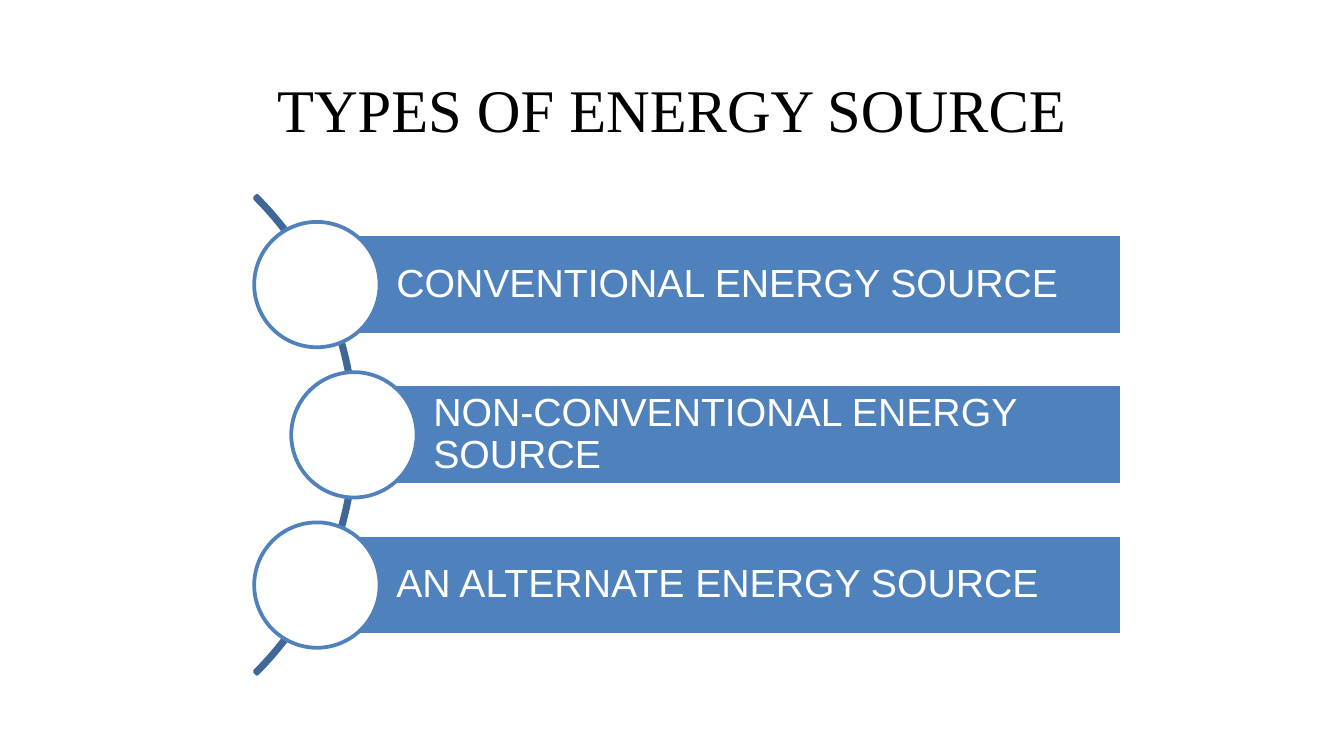
import pptx
import pptx.util
import pptx.dml.color
import pptx.enum.shapes
import pptx.enum.text

Cm = pptx.util.Cm
Pt = pptx.util.Pt
SHAPES = pptx.enum.shapes.MSO_SHAPE
ALIGN = pptx.enum.text.PP_ALIGN
MIDDLE = pptx.enum.text.MSO_ANCHOR.MIDDLE

TITLE = "TYPES OF ENERGY SOURCE"
# Label and horizontal centre of its circle, in cm
SOURCES = [
    ("CONVENTIONAL ENERGY SOURCE", 5.99),
    ("NON-CONVENTIONAL ENERGY SOURCE", 6.69),
    ("AN ALTERNATE ENERGY SOURCE", 5.99),
]
COLORS = {"bar": "4F81BD", "arc": "3F6797", "white": "FFFFFF", "title": "000000"}

# Lengths in cm
MIDDLE_Y = 8.22
ROW_PITCH = 2.84
BAR_RIGHT = 21.21
BAR_HEIGHT = 1.9
CIRCLE_SIZE = 2.37
ARC_CENTER_X = 0.34
ARC_SIZE = 12.78


def rgb(name):
    return pptx.dml.color.RGBColor.from_string(COLORS[name])


def add_shape(slide, kind, center_y, left, width, height, fill, line):
    """Add a preset shape centred vertically on center_y; fill may be None."""
    shape = slide.shapes.add_shape(
        kind, Cm(left), Cm(center_y - height / 2), Cm(width), Cm(height)
    )
    shape.shadow.inherit = False
    if fill:
        shape.fill.solid()
        shape.fill.fore_color.rgb = rgb(fill)
    else:
        shape.fill.background()
    shape.line.color.rgb = rgb(line)
    shape.line.width = Pt(2)
    return shape


def write_label(bar, text):
    frame = bar.text_frame
    frame.word_wrap = True
    frame.vertical_anchor = MIDDLE
    frame.margin_left = Cm(1.5)
    frame.margin_right = frame.margin_top = frame.margin_bottom = Cm(0.15)
    paragraph = frame.paragraphs[0]
    paragraph.text = text
    paragraph.alignment = ALIGN.LEFT
    paragraph.line_spacing = 0.9
    paragraph.font.name = "Arial"
    paragraph.font.size = Pt(21)
    paragraph.font.color.rgb = rgb("white")


def write_title(slide):
    title = slide.shapes.title
    title.left, title.top = Cm(1.24), Cm(1.19)
    title.width, title.height = Cm(22.91), Cm(1.7)
    frame = title.text_frame
    frame.vertical_anchor = MIDDLE
    frame.word_wrap = True
    paragraph = frame.paragraphs[0]
    paragraph.text = TITLE
    paragraph.alignment = ALIGN.CENTER
    paragraph.font.name = "Times New Roman"
    paragraph.font.size = Pt(32.4)
    paragraph.font.color.rgb = rgb("title")


def main():
    presentation = pptx.Presentation()
    presentation.slide_width, presentation.slide_height = Cm(25.4), Cm(14.29)
    slide = presentation.slides.add_slide(presentation.slide_layouts[5])
    write_title(slide)

    arc = add_shape(slide, SHAPES.BLOCK_ARC, MIDDLE_Y, ARC_CENTER_X - ARC_SIZE / 2,
                    ARC_SIZE, ARC_SIZE, None, "arc")
    # Start angle, end angle and thickness: a quarter turn facing right
    for index, value in enumerate((189, 27, 0.005)):
        arc.adjustments[index] = value

    for row, (label, center_x) in enumerate(SOURCES):
        center_y = MIDDLE_Y + (row - (len(SOURCES) - 1) / 2) * ROW_PITCH
        bar = add_shape(slide, SHAPES.RECTANGLE, center_y, center_x,
                        BAR_RIGHT - center_x, BAR_HEIGHT, "bar", "white")
        write_label(bar, label)
        add_shape(slide, SHAPES.OVAL, center_y, center_x - CIRCLE_SIZE / 2,
                  CIRCLE_SIZE, CIRCLE_SIZE, "white", "bar")

    presentation.save("out.pptx")


if __name__ == "__main__":
    main()
